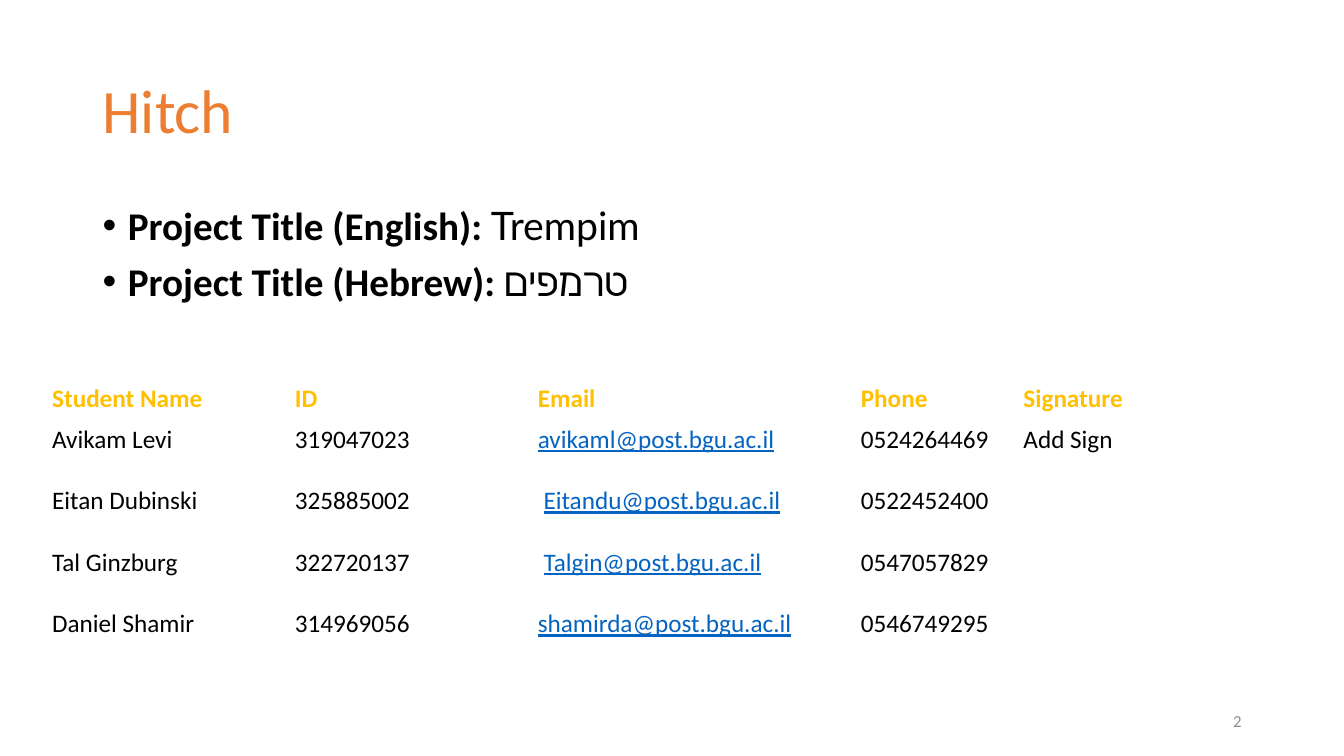
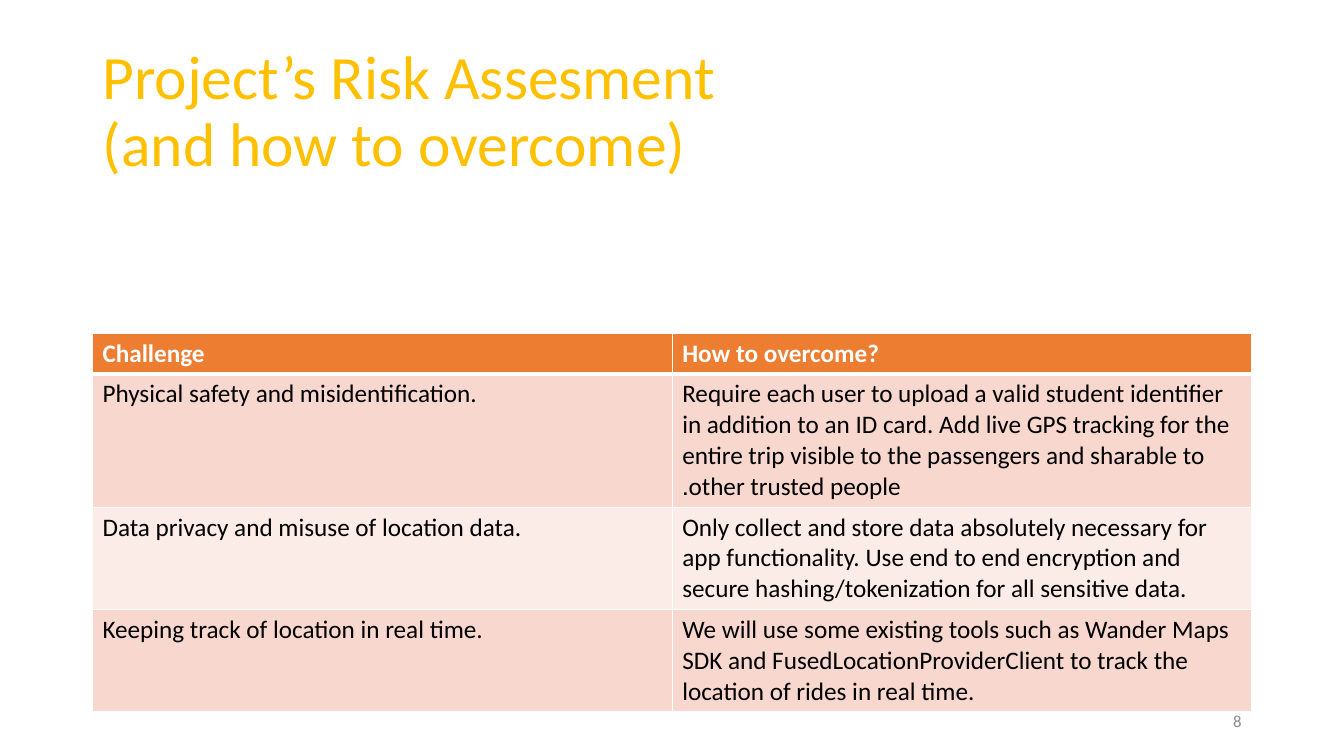
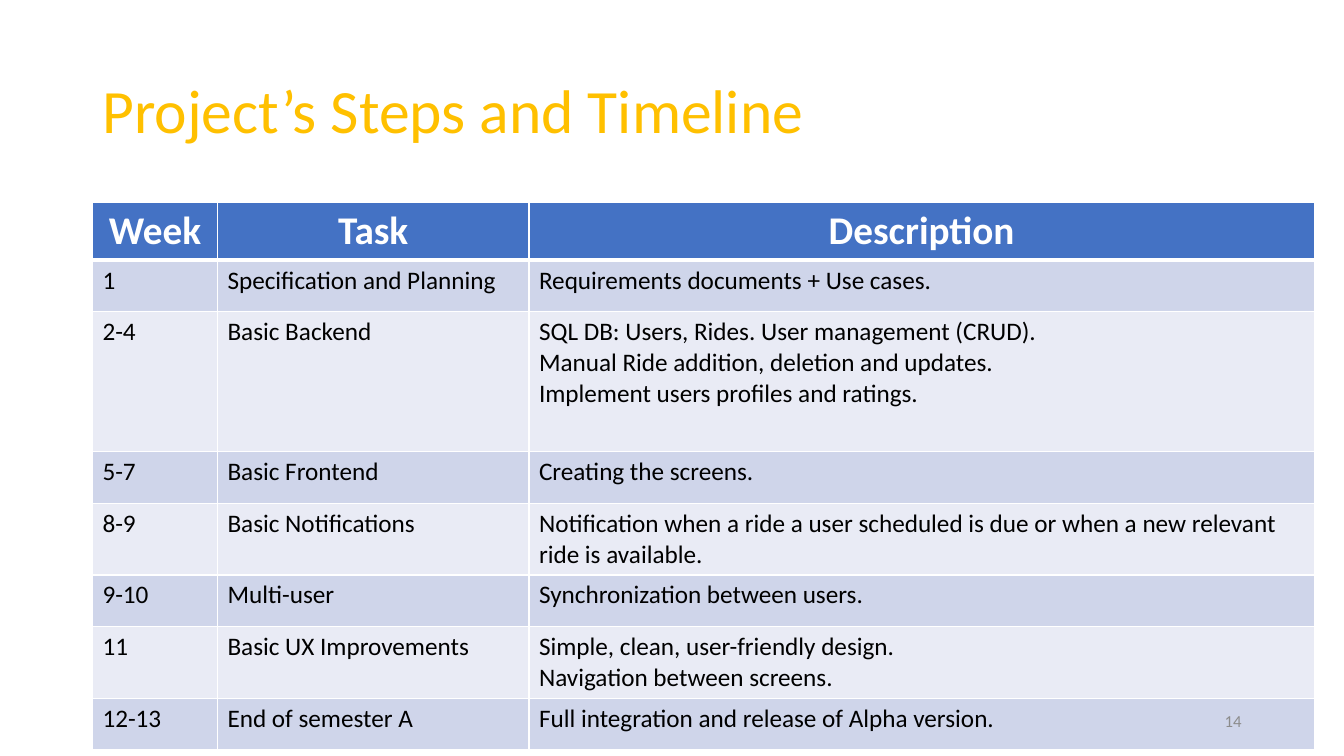
from dataclasses import dataclass

from lxml.etree import SubElement
from pptx import Presentation
from pptx.dml.color import RGBColor
from pptx.enum.text import MSO_ANCHOR, MSO_AUTO_SIZE, PP_ALIGN
from pptx.oxml.ns import qn
from pptx.util import Cm, Pt


@dataclass(frozen=True)
class Theme:
    font: str = "Calibri"
    accent_font: str = "Lato"
    black: str = "000000"
    white: str = "FFFFFF"
    orange: str = "ED7D31"
    gold: str = "FFC000"
    blue: str = "4472C4"
    link: str = "0563C1"
    grey: str = "8C8C8C"
    orange_bands: tuple = ("F8D7CE", "FCECE8")
    blue_bands: tuple = ("CFD5EA", "E9EBF5")
    title_size: int = 44
    body_size: int = 28
    cell_size: int = 18
    number_size: int = 12
    thin_border: int = 1
    header_border: int = 3


THEME = Theme()
TITLE_BOX = (2.33, 1.01, 29.21, 3.68)
BODY_BOX = (2.33, 5.07, 29.21, 12.09)
NUMBER_BOX = (23.92, 17.66, 7.62, 1.01)

PROJECT_TITLES = [
    ("Project Title (English):\u00a0", "Trempim", THEME.accent_font),
    ("Project Title (Hebrew):\u00a0", "טרמפים", THEME.font),
]

STUDENTS = [
    ("Avikam Levi", "319047023", "avikaml@post.bgu.ac.il", "0524264469"),
    ("Eitan Dubinski", "325885002", " Eitandu@post.bgu.ac.il", "0522452400"),
    ("Tal Ginzburg", "322720137", " Talgin@post.bgu.ac.il", "0547057829"),
    ("Daniel Shamir", "314969056", "shamirda@post.bgu.ac.il", "0546749295"),
]

SLIDES = [
    {
        "title": "Hitch", "title_color": THEME.orange, "number": 2,
        "bullets": PROJECT_TITLES,
        "table": {
            "corner": (1.06, 9.53),
            "columns": (6.12, 6.12, 8.14, 4.1, 6.12),
            "heights": (1.03, 5.7, 1.03, 1.03),
            "header_fill": THEME.white, "header_color": THEME.gold,
            "bands": (THEME.white, THEME.white), "paragraph_gap": 22,
            "rows": [
                ("Student Name", "ID", "Email", "Phone", "Signature"),
                (*("\n".join(column) for column in zip(*STUDENTS)), "Add Sign"),
                ("",) * 5,
                ("",) * 5,
            ],
        },
    },
    {
        "title": "Project’s Risk Assesment\v(and how to overcome)",
        "title_color": THEME.gold, "number": 8,
        "table": {
            "corner": (2.33, 8.39),
            "columns": (14.61, 14.61),
            "heights": (1.03, 3.36, 2.58, 2.58),
            "header_fill": THEME.orange, "bands": THEME.orange_bands,
            "right_to_left": (1, 1),
            "rows": [
                ("Challenge", "How to overcome?"),
                ("Physical safety and misidentification.",
                 "Require each user to upload a valid student identifier in addition to an ID card. "
                 "Add live GPS tracking for the entire trip visible to the passengers and sharable "
                 "to other trusted people."),
                ("Data privacy and misuse of location data.",
                 "Only collect and store data absolutely necessary for app functionality. "
                 "Use end to end encryption and secure hashing/tokenization for all sensitive data."),
                ("Keeping track of location in real time.",
                 "We will use some existing tools such as Wander Maps SDK and "
                 "FusedLocationProviderClient to track the location of rides in real time."),
            ],
        },
    },
    {
        "title": "Project’s Steps and Timeline", "title_color": THEME.gold, "number": 14,
        "table": {
            "corner": (2.33, 5.09),
            "columns": (3.15, 7.85, 19.79),
            "heights": (1.45, 1.3, 3.53, 1.3, 1.8, 1.3, 1.8, 1.3),
            "header_fill": THEME.blue, "bands": THEME.blue_bands,
            "header_size": THEME.body_size, "header_align": PP_ALIGN.CENTER,
            "rows": [
                ("Week", "Task", "Description"),
                ("1", "Specification and Planning", "Requirements documents + Use cases."),
                ("2-4", "Basic Backend",
                 "SQL DB: Users, Rides. User management (CRUD).\n"
                 "Manual Ride addition, deletion and updates.\n"
                 "Implement users profiles and ratings."),
                ("5-7", "Basic Frontend", "Creating the screens."),
                ("8-9", "Basic Notifications",
                 "Notification when a ride a user scheduled is due or when a new relevant "
                 "ride is available."),
                ("9-10", "Multi-user", "Synchronization between users."),
                ("11", "Basic UX Improvements",
                 "Simple, clean, user-friendly design.\nNavigation between screens."),
                ("12-13", "End of semester A", "Full integration and release of Alpha version."),
            ],
        },
    },
]


def set_attributes(target, **values):
    for name, value in values.items():
        setattr(target, name, value)


def place(shape, box):
    set_attributes(shape, **dict(zip(("left", "top", "width", "height"), map(Cm, box))))


def add_run(paragraph, text, size, color=THEME.black, name=THEME.font, **font_values):
    run = paragraph.add_run()
    run.text = text
    set_attributes(run.font, size=Pt(size), name=name, **font_values)
    run.font.color.rgb = RGBColor.from_string(color)


def add_title(slide, text, color):
    title = slide.shapes.title
    place(title, TITLE_BOX)
    frame = title.text_frame
    set_attributes(frame, auto_size=MSO_AUTO_SIZE.NONE, vertical_anchor=MSO_ANCHOR.MIDDLE)
    paragraph = frame.paragraphs[0]
    set_attributes(paragraph, alignment=PP_ALIGN.LEFT, line_spacing=0.9)
    for index, line in enumerate(text.split("\v")):
        if index:
            paragraph.add_line_break()
        add_run(paragraph, line, THEME.title_size, color)


def add_bullets(slide, items):
    body = slide.placeholders[1]
    place(body, BODY_BOX)
    frame = body.text_frame
    frame.auto_size = MSO_AUTO_SIZE.NONE
    for index, (label, value, value_font) in enumerate(items):
        paragraph = frame.add_paragraph() if index else frame.paragraphs[0]
        set_attributes(paragraph, line_spacing=0.9, space_before=Pt(10 if index else 0))
        properties = paragraph._p.get_or_add_pPr()
        properties.set("marL", str(Cm(0.64)))
        properties.set("indent", str(-Cm(0.64)))
        SubElement(properties, qn("a:buFont"), typeface="Arial")
        SubElement(properties, qn("a:buChar"), char="•")
        add_run(paragraph, label, THEME.body_size, bold=True)
        add_run(paragraph, value, THEME.body_size, name=value_font, bold=False)


def set_borders(cell, row):
    widths = {
        "L": THEME.thin_border,
        "R": THEME.thin_border,
        "T": THEME.header_border if row == 1 else THEME.thin_border,
        "B": THEME.header_border if row == 0 else THEME.thin_border,
    }
    properties = cell._tc.get_or_add_tcPr()
    for side, width in widths.items():
        line = SubElement(properties, qn(f"a:ln{side}"), w=str(Pt(width)))
        SubElement(SubElement(line, qn("a:solidFill")), qn("a:srgbClr"), val=THEME.white)


def fill_cell(cell, text, row, column, table_format):
    is_header = row == 0
    fill_color = table_format["header_fill"] if is_header else table_format["bands"][(row - 1) % 2]
    set_borders(cell, row)
    cell.fill.solid()
    cell.fill.fore_color.rgb = RGBColor.from_string(fill_color)
    size, color = THEME.cell_size, THEME.black
    if is_header:
        size = table_format.get("header_size", size)
        color = table_format.get("header_color", THEME.white)
    for index, line in enumerate(text.split("\n")):
        paragraph = cell.text_frame.add_paragraph() if index else cell.text_frame.paragraphs[0]
        paragraph.alignment = table_format.get("header_align", PP_ALIGN.LEFT) if is_header else PP_ALIGN.LEFT
        paragraph.space_before = Pt(table_format.get("paragraph_gap", 0) if index else 0)
        if table_format.get("right_to_left") == (row, column):
            paragraph._p.get_or_add_pPr().set("rtl", "1")
        if "@" in line:
            address = line.lstrip()
            if address != line:
                add_run(paragraph, " ", size)
            add_run(paragraph, address, size, THEME.link, bold=False, underline=True)
        elif line:
            add_run(paragraph, line, size, color, bold=is_header)
        else:
            paragraph.font.size = Pt(size)


def add_styled_table(slide, table_format):
    rows, columns, heights = (table_format[key] for key in ("rows", "columns", "heights"))
    box = (*table_format["corner"], sum(columns), sum(heights))
    table = slide.shapes.add_table(len(rows), len(columns), *map(Cm, box)).table
    for column, width in zip(table.columns, columns):
        column.width = Cm(width)
    for row, height in zip(table.rows, heights):
        row.height = Cm(height)
    for row, texts in enumerate(rows):
        for column, text in enumerate(texts):
            fill_cell(table.cell(row, column), text, row, column, table_format)


def add_slide_number(slide, number):
    frame = slide.shapes.add_textbox(*map(Cm, NUMBER_BOX)).text_frame
    set_attributes(frame, word_wrap=True, vertical_anchor=MSO_ANCHOR.MIDDLE)
    frame.paragraphs[0].alignment = PP_ALIGN.RIGHT
    add_run(frame.paragraphs[0], str(number), THEME.number_size, THEME.grey)


def main():
    presentation = Presentation()
    set_attributes(presentation, slide_width=Cm(33.87), slide_height=Cm(19.05))
    for content in SLIDES:
        layout = presentation.slide_layouts[1 if "bullets" in content else 5]
        slide = presentation.slides.add_slide(layout)
        add_title(slide, content["title"], content["title_color"])
        if "bullets" in content:
            add_bullets(slide, content["bullets"])
        add_styled_table(slide, content["table"])
        add_slide_number(slide, content["number"])
    presentation.save("out.pptx")


if __name__ == "__main__":
    main()
